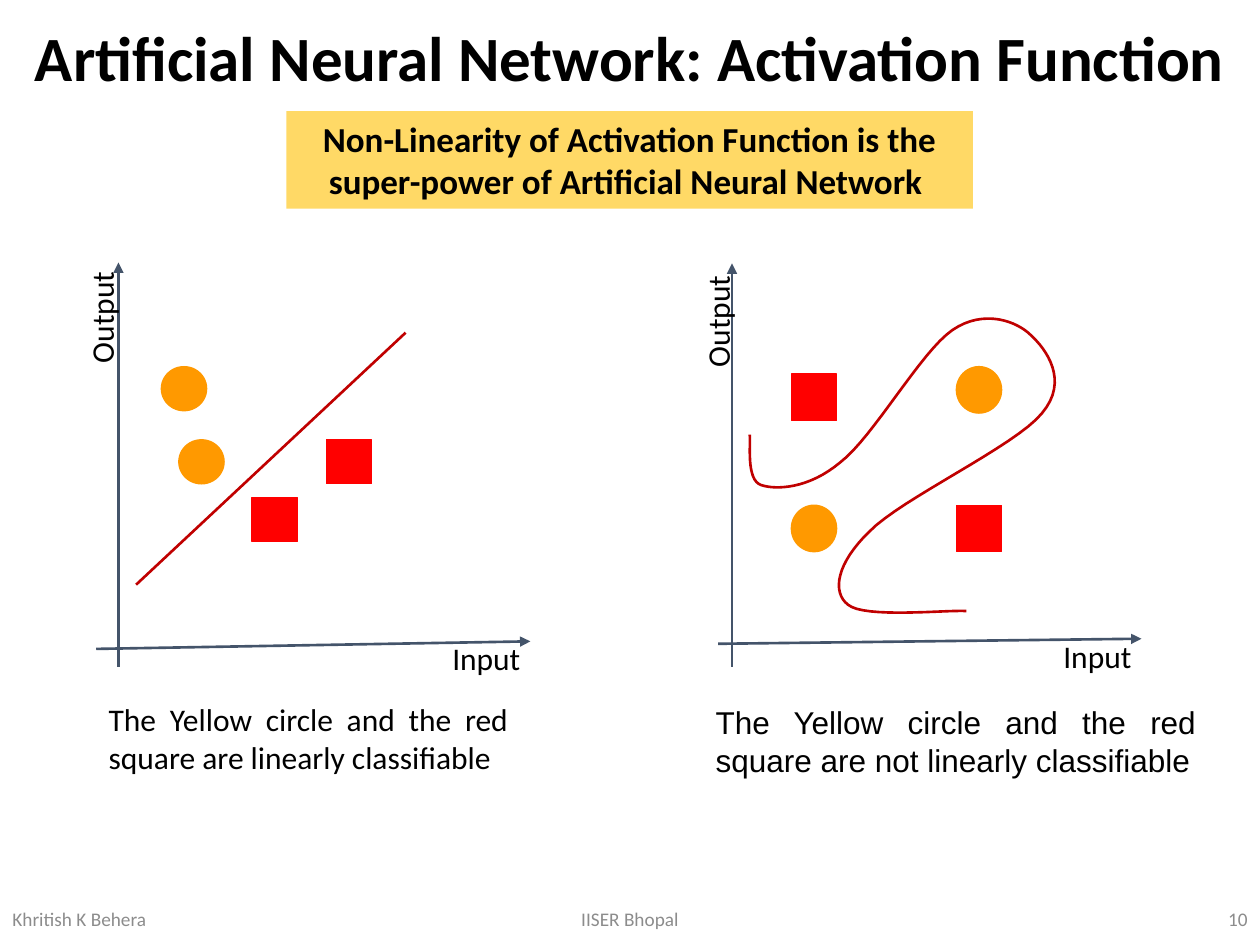
from lxml import etree
from pptx import Presentation
from pptx.dml.color import RGBColor
from pptx.enum.shapes import MSO_CONNECTOR, MSO_SHAPE
from pptx.enum.text import MSO_ANCHOR, MSO_AUTO_SIZE, PP_ALIGN
from pptx.oxml.ns import qn
from pptx.util import Pt

STRAIGHT = MSO_CONNECTOR.STRAIGHT
RECT, OVAL = MSO_SHAPE.RECTANGLE, MSO_SHAPE.OVAL
TOP, MIDDLE = MSO_ANCHOR.TOP, MSO_ANCHOR.MIDDLE
GROW, FIXED = MSO_AUTO_SIZE.SHAPE_TO_FIT_TEXT, MSO_AUTO_SIZE.NONE
LEFT, CENTER, RIGHT, JUSTIFY = PP_ALIGN.LEFT, PP_ALIGN.CENTER, PP_ALIGN.RIGHT, PP_ALIGN.JUSTIFY

COLORS = {
    "text": "000000", "footer": "8C8C8C", "banner": "FFD966", "axis": "44546A",
    "circle": "FF9900", "square": "FF0000", "boundary": "C00000",
}
WIDTH, HEIGHT = 720, 540
CURVE_STEPS = 16

LINEAR = {
    "y_axis": ((12.7, 230.9), (12.7, 0)),
    "x_axis": ((0, 220.8), (248.1, 216.5)),
    "marker_size": (25.9, 25.2),
    "circles": [(37.2, 59.5), (47.2, 101.3)],
    "squares": [(131.5, 101.3), (89, 134.4)],
    "input": (189.8, 211.4),
    "output": (-35.6, 17),
    "caption": (0, 246.7, 242.6, 51.1),
    "caption_text": "The Yellow circle and the red square are linearly classifiable",
    "caption_font": "Calibri",
}
NONLINEAR = {
    "y_axis": ((8.3, 230.9), (8.3, 0.5)),
    "x_axis": ((0.4, 217.9), (242.3, 215)),
    "marker_size": (25.9, 26.6),
    "circles": [(136.5, 59.5), (42.2, 138.7)],
    "squares": [(42.2, 63.8), (136.5, 138.7)],
    "input": (184, 210.7),
    "output": (-38.5, 19.2),
    "caption": (-8.2, 248.2, 288.7, 51.1),
    "caption_text": "The Yellow circle and the red square are not linearly classifiable",
    "caption_font": "Arial",
}
LINEAR_BOUNDARY = ((22.8, 184.1), (176.8, 40.1))
CURVE_START = (18.4, 98.4)
CURVE_SEGMENTS = [
    ((19.1, 103.4), (16.2, 124.3), (24.9, 127.2)),
    ((33.5, 130.1), (52.2, 129.4), (70.2, 114.2)),
    ((89, 99.8), (116.3, 50.9), (134.3, 38.6)),
    ((152.3, 26.4), (171, 33.6), (179, 41.5)),
    ((187.6, 49.4), (201.3, 67.4), (185.4, 86.2)),
    ((170.3, 104.9), (104.8, 135.1), (86.8, 153.8)),
    ((68.1, 171.8), (65.2, 188.4), (74.6, 195.6)),
    ((83.9, 203.5), (130.7, 198.5), (142.2, 199.2)),
]


def rgb(name):
    return RGBColor.from_string(COLORS[name])


def write(frame, text, size, align, color="text", font="Calibri", bold=False,
          anchor=TOP, auto_size=GROW):
    frame.word_wrap = True
    frame.auto_size = auto_size
    frame.vertical_anchor = anchor
    paragraph = frame.paragraphs[0]
    paragraph.alignment = align
    run = paragraph.add_run()
    run.text = text
    run.font.size = Pt(size)
    run.font.name = font
    run.font.bold = bold
    run.font.color.rgb = rgb(color)
    return paragraph


def add_label(slide, left, top, width, height, text, size, align, rotation=0, **style):
    label = slide.shapes.add_textbox(Pt(left), Pt(top), Pt(width), Pt(height))
    label.rotation = rotation
    write(label.text_frame, text, size, align, **style)


def add_block(slide, kind, left, top, width, height, color):
    block = slide.shapes.add_shape(kind, Pt(left), Pt(top), Pt(width), Pt(height))
    block.shadow.inherit = False
    block.fill.solid()
    block.fill.fore_color.rgb = rgb(color)
    block.line.color.rgb = rgb(color)
    block.line.width = Pt(0.75)
    return block


def add_line(slide, origin, ends, color, arrow=False):
    (x1, y1), (x2, y2) = [(origin[0] + x, origin[1] + y) for x, y in ends]
    line = slide.shapes.add_connector(STRAIGHT, Pt(x1), Pt(y1), Pt(x2), Pt(y2))
    line.line.color.rgb = rgb(color)
    line.line.width = Pt(1.5)
    if arrow:
        etree.SubElement(line.line._get_or_add_ln(), qn("a:tailEnd"), type="triangle")
    etree.SubElement(line._element.spPr, qn("a:effectLst"))


def bezier_points(start, segments):
    """Points along a chain of cubic Bezier segments, after the start."""
    points = []
    for c1, c2, end in segments:
        for step in range(1, CURVE_STEPS + 1):
            t = step / CURVE_STEPS
            u = 1 - t
            points.append(tuple(
                u**3 * a + 3 * u * u * t * b + 3 * u * t * t * c + t**3 * d
                for a, b, c, d in zip(start, c1, c2, end)))
        start = end
    return points


def add_curved_boundary(slide, origin):
    start, *rest = [(Pt(origin[0] + x), Pt(origin[1] + y))
                    for x, y in [CURVE_START] + bezier_points(CURVE_START, CURVE_SEGMENTS)]
    builder = slide.shapes.build_freeform(*start)
    builder.add_line_segments(rest, close=False)
    curve = builder.convert_to_shape()
    curve.shadow.inherit = False
    curve.fill.background()
    curve.line.color.rgb = rgb("boundary")
    curve.line.width = Pt(1.5)


def add_plot(slide, left, top, plot):
    """Axes, markers, axis labels and caption, relative to the plot's corner."""
    for axis in ("y_axis", "x_axis"):
        add_line(slide, (left, top), plot[axis], "axis", arrow=True)
    for kind, group, color in ((OVAL, "circles", "circle"), (RECT, "squares", "square")):
        for x, y in plot[group]:
            add_block(slide, kind, left + x, top + y, *plot["marker_size"], color)
    x, y, width, height = plot["caption"]
    add_label(slide, left + x, top + y, width, height, plot["caption_text"], 18,
              JUSTIFY, font=plot["caption_font"])
    x, y = plot["input"]
    add_label(slide, left + x, top + y, 66.2, 28.8, "Input", 18, CENTER)
    x, y = plot["output"]
    add_label(slide, left + x, top + y, 77, 28.8, "Output", 18, CENTER, rotation=270)


def add_heading(slide):
    title = slide.shapes.title
    title.left, title.top, title.width, title.height = Pt(0), Pt(0.7), Pt(WIDTH), Pt(69)
    heading = write(title.text_frame, "Artificial Neural Network: Activation Function", 36,
                    CENTER, bold=True, anchor=MIDDLE, auto_size=FIXED)
    heading.line_spacing = 0.9
    banner = add_block(slide, RECT, 163.6, 63.5, 392.4, 55.7, "banner")
    banner.line.fill.background()
    write(banner.text_frame,
          "Non-Linearity of Activation Function is the super-power of Artificial Neural Network ",
          20, CENTER, bold=True)


def add_footer(slide, top, height):
    side, middle = 162, 243
    for left, width, text, align in (
        (0, side, "Khritish K Behera", LEFT),
        ((WIDTH - middle) / 2, middle, "IISER Bhopal", CENTER),
        (WIDTH - side, side, "10", RIGHT),
    ):
        add_label(slide, left, top, width, height, text, 11, align,
                  color="footer", anchor=MIDDLE, auto_size=FIXED)


def main():
    deck = Presentation()
    deck.slide_width, deck.slide_height = Pt(WIDTH), Pt(HEIGHT)
    slide = deck.slides.add_slide(deck.slide_layouts[5])
    add_heading(slide)
    add_footer(slide, 510.6, 28.8)
    linear_corner, nonlinear_corner = (55, 150), (410, 150)
    add_plot(slide, *linear_corner, LINEAR)
    add_line(slide, linear_corner, LINEAR_BOUNDARY, "boundary")
    add_plot(slide, *nonlinear_corner, NONLINEAR)
    add_curved_boundary(slide, nonlinear_corner)
    deck.save("out.pptx")


if __name__ == "__main__":
    main()
